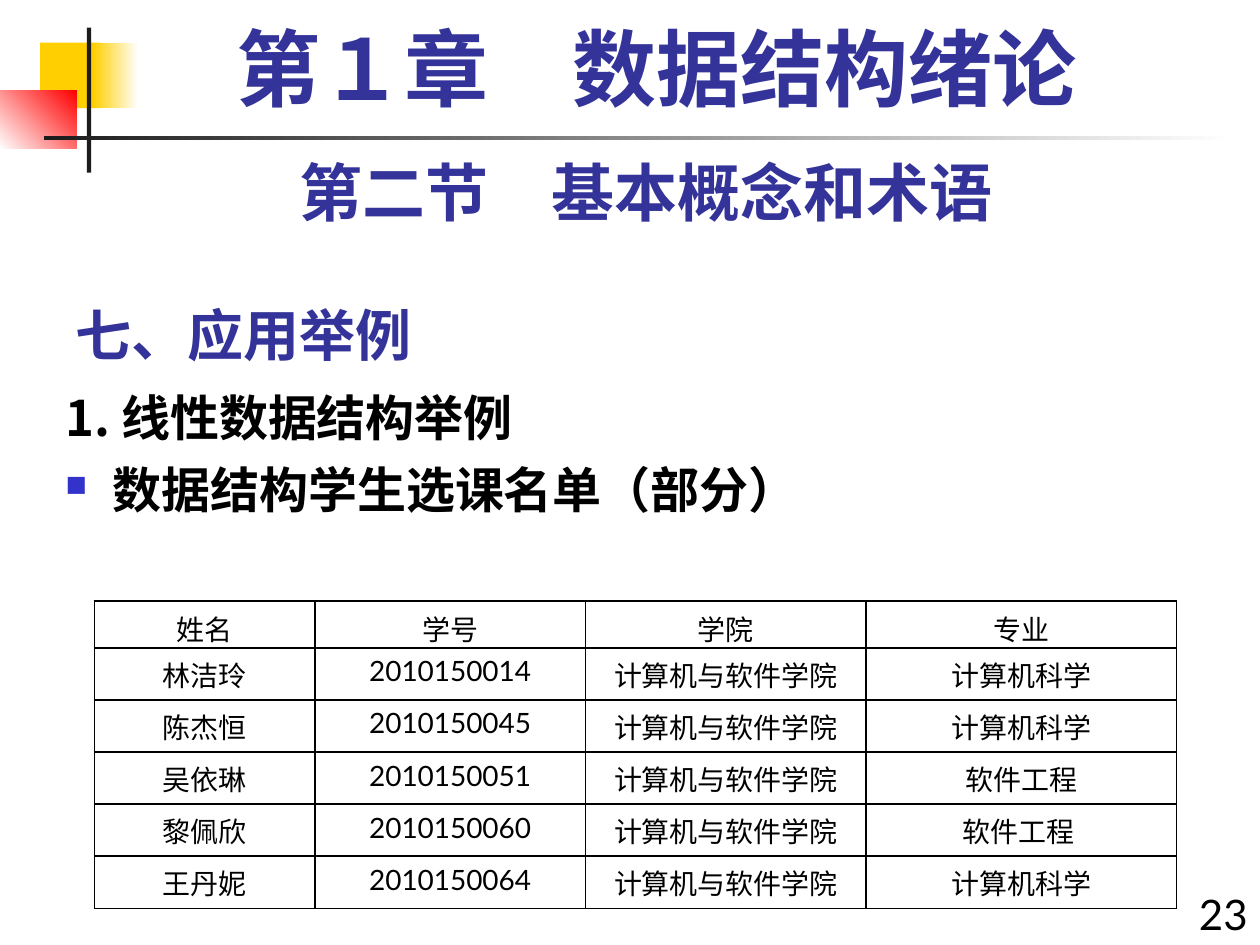
from lxml import etree
from pptx import Presentation
from pptx.dml.color import RGBColor
from pptx.enum.shapes import MSO_SHAPE
from pptx.enum.text import MSO_ANCHOR, PP_ALIGN
from pptx.oxml.ns import qn
from pptx.util import Cm, Pt

RECT = MSO_SHAPE.RECTANGLE
TOP, BOTTOM = MSO_ANCHOR.TOP, MSO_ANCHOR.BOTTOM
LEFT, CENTER, RIGHT = PP_ALIGN.LEFT, PP_ALIGN.CENTER, PP_ALIGN.RIGHT

BLACK = RGBColor(0x00, 0x00, 0x00)
WHITE = RGBColor(0xFF, 0xFF, 0xFF)
INK = RGBColor(0x1C, 0x1C, 0x1C)
GOLD = RGBColor(0xFF, 0xCF, 0x01)
RED = RGBColor(0xFF, 0x00, 0x00)
NAVY = RGBColor(0x33, 0x33, 0x99)
BLUE = RGBColor(0x33, 0x33, 0xCC)

HAN, SANS, SERIF = "Noto Sans CJK SC", "Lato", "Times New Roman"

HEADS = ["姓名", "学号", "学院", "专业"]
SCHOOL = "计算机与软件学院"
PUPILS = [
    ("林洁玲", "2010150014", "计算机科学"),
    ("陈杰恒", "2010150045", "计算机科学"),
    ("吴依琳", "2010150051", "软件工程"),
    ("黎佩欣", "2010150060", "软件工程 "),
    ("王丹妮", "2010150064", "计算机科学"),
]
COLS = [4.45, 5.45, 5.66, 6.26]
HEAD_ROW, ROW = 0.94, 1.05


def add_block(slide, box, color, fade=None, angle=0):
    """Draw a plain rectangle, or one that runs from color to fade."""
    block = slide.shapes.add_shape(RECT, *map(Cm, box))
    block.shadow.inherit = False
    block.line.fill.background()
    if fade is None:
        block.fill.solid()
        block.fill.fore_color.rgb = color
        return
    block.fill.gradient()
    block.fill.gradient_angle = angle
    for stop, shade in zip(block.fill.gradient_stops, (color, fade)):
        stop.color.rgb = shade


def add_run(par, text, size, face, color=BLACK, bold=False, han=None):
    """Add a run; han is the face for Chinese letters."""
    run = par.add_run()
    run.text = text
    font = run.font
    font.size, font.name, font.bold = Pt(size), face, bold
    font.color.rgb = color
    east = etree.SubElement(font._element, qn("a:ea"))
    east.set("typeface", han or face)


def add_box(slide, box, anchor=TOP):
    frame = slide.shapes.add_textbox(*map(Cm, box)).text_frame
    frame.word_wrap = True
    frame.vertical_anchor = anchor
    return frame


def add_line(slide, box, text, size, face, color, bold=True, align=CENTER,
             han=None):
    """Put one line of text in a box of its own."""
    frame = add_box(slide, box)
    par = frame.paragraphs[0]
    par.alignment = align
    add_run(par, text, size, face, color, bold, han)
    return frame


def set_bullet(par):
    props = par._p.get_or_add_pPr()
    props.set("marL", str(Cm(0.95)))
    props.set("indent", str(-Cm(0.95)))
    color = etree.SubElement(props, qn("a:buClr"))
    etree.SubElement(color, qn("a:srgbClr")).set("val", str(BLUE))
    etree.SubElement(props, qn("a:buSzPct")).set("val", "60000")
    etree.SubElement(props, qn("a:buChar")).set("char", "■")


def add_points(slide):
    frame = add_box(slide, (1.07, 7.82, 24.33, 8.3))
    first, second = frame.paragraphs[0], frame.add_paragraph()
    set_bullet(second)
    second.space_before = Pt(11)
    for par, text in ((first, "1. 线性数据结构举例"),
                      (second, "数据结构学生选课名单（部分）")):
        par.line_spacing = 0.9
        add_run(par, text, 28, HAN, bold=True)


def set_border(cell):
    props = cell._tc.get_or_add_tcPr()
    for side in ("lnL", "lnR", "lnT", "lnB"):
        line = etree.SubElement(props, qn("a:" + side), w=str(Pt(1)))
        fill = etree.SubElement(line, qn("a:solidFill"))
        etree.SubElement(fill, qn("a:srgbClr")).set("val", str(BLACK))


def fill_cell(cell, text, face):
    set_border(cell)
    cell.fill.background()
    cell.margin_left = cell.margin_right = Cm(0.25)
    cell.margin_top, cell.margin_bottom = Cm(0.13), 0
    par = cell.text_frame.paragraphs[0]
    par.alignment = CENTER
    add_run(par, text, 16, face, han=HAN)


def add_roll(slide):
    """Add the table of students."""
    rows = [HEADS] + [(name, code, SCHOOL, major)
                      for name, code, major in PUPILS]
    high = HEAD_ROW + ROW * len(PUPILS)
    table = slide.shapes.add_table(
        len(rows), len(COLS), Cm(1.9), Cm(12.12), Cm(sum(COLS)),
        Cm(high)).table
    table.first_row = table.horz_banding = False
    for col, wide in zip(table.columns, COLS):
        col.width = Cm(wide)
    for i, row in enumerate(rows):
        table.rows[i].height = Cm(ROW if i else HEAD_ROW)
        for j, text in enumerate(row):
            face = SERIF if i == 0 or text == SCHOOL else SANS
            fill_cell(table.cell(i, j), text, face)


def add_decor(slide):
    add_block(slide, (0.81, 0.86, 1.22, 1.32), GOLD)
    add_block(slide, (1.88, 0.86, 0.91, 1.32), GOLD, WHITE)
    add_block(slide, (0, 1.83, 1.55, 1.17), WHITE, RED, 45)
    add_block(slide, (1.75, 0.56, 0.09, 2.92), INK)
    add_block(slide, (0.89, 2.74, 24, 0.09), INK, WHITE)


def main():
    deck = Presentation()
    deck.slide_width, deck.slide_height = Cm(25.4), Cm(19.05)
    slide = deck.slides.add_slide(deck.slide_layouts[6])
    add_decor(slide)
    topic = add_line(slide, (1.27, 5.51, 21.87, 1.9), "七、应用举例",
                     32, HAN, NAVY, align=LEFT)
    topic.vertical_anchor = BOTTOM
    topic.margin_bottom = 0
    add_points(slide)
    add_line(slide, (23.7, 17.78, 1.7, 1.27), "23", 24, SANS, BLACK,
             bold=False, align=RIGHT)
    add_line(slide, (1.27, 2.97, 23.5, 1.78), "第二节　基本概念和术语",
             36, SANS, NAVY)
    title = add_line(slide, (1.7, 0.43, 23.06, 2.11),
                     "第１章　数据结构绪论", 48, SERIF, NAVY, han=SANS)
    title.paragraphs[0].line_spacing = 0.9
    add_roll(slide)
    deck.save("out.pptx")


if __name__ == "__main__":
    main()
